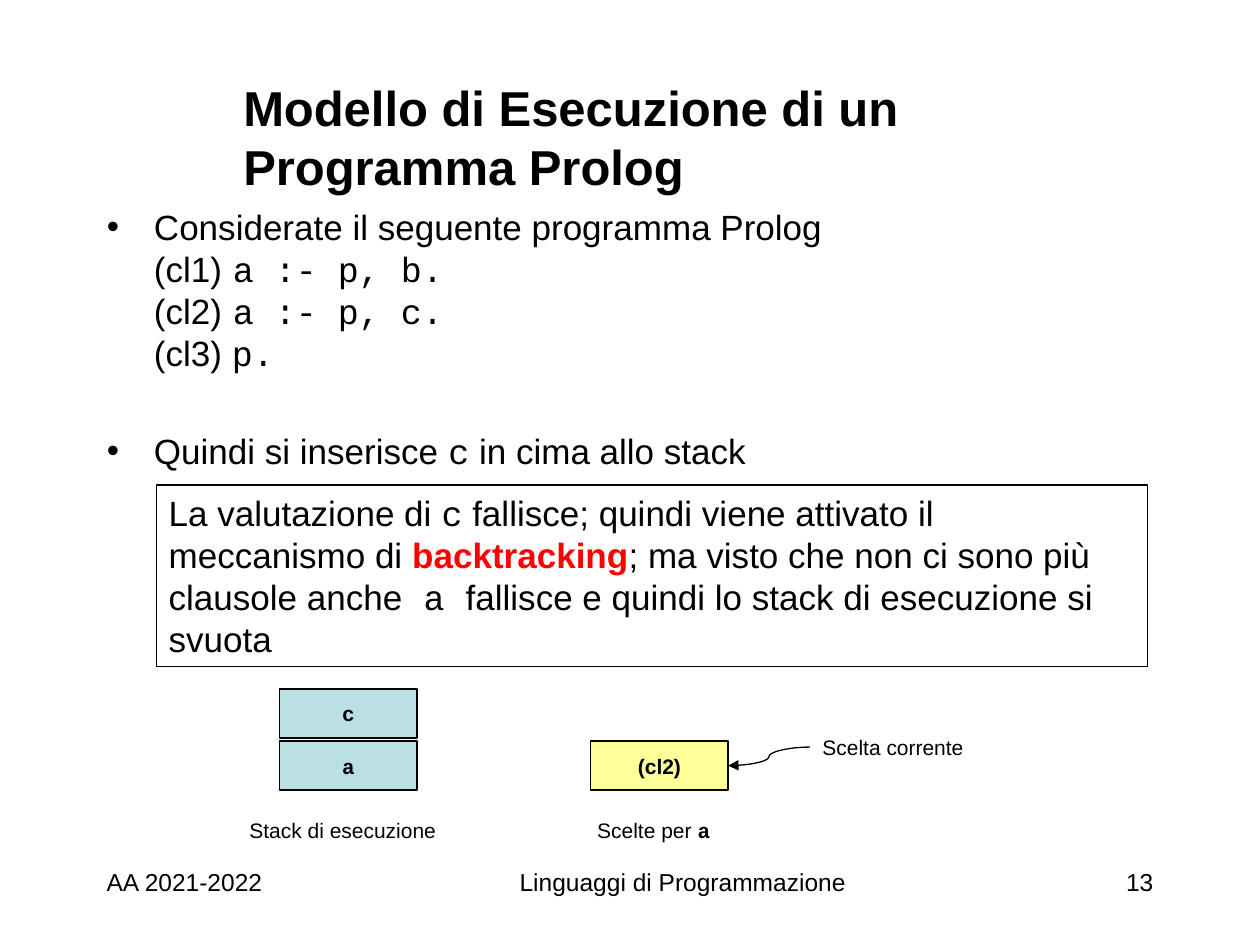
from lxml.etree import SubElement
from pptx import Presentation
from pptx.dml.color import RGBColor
from pptx.enum.shapes import MSO_CONNECTOR, MSO_SHAPE
from pptx.enum.text import MSO_ANCHOR, MSO_AUTO_SIZE, PP_ALIGN
from pptx.oxml.ns import qn
from pptx.util import Cm, Pt

BLACK = RGBColor(0x00, 0x00, 0x00)
RED = RGBColor(0xFF, 0x00, 0x00)
TEAL = RGBColor(0xBB, 0xE0, 0xE3)
YELLOW = RGBColor(0xFF, 0xFF, 0x99)
SANS = "Arial"
CODE = "Courier New"


class Slide:
    """Holds the style and the current page, and adds each kind of element."""

    def __init__(self, deck):
        self.page = deck.slides.add_slide(deck.slide_layouts[1])
        self.shapes = self.page.shapes

    def add_spans(self, para, spans, size, bold=False, align=PP_ALIGN.LEFT):
        """Fill a paragraph with (text, font, bold, colour) spans."""
        para.alignment = align
        for text, *style in spans:
            font, strong, colour = style + [SANS, bold, BLACK][len(style):]
            for number, line in enumerate(text.split("\n")):
                if number:
                    para.add_line_break()
                if line:
                    span = para.add_run()
                    span.text = line
                    span.font.name = font
                    span.font.size = Pt(size)
                    span.font.bold = strong
                    span.font.color.rgb = colour

    def place(self, box, left, top, width, height):
        """Move and size a placeholder."""
        box.left, box.top = Cm(left), Cm(top)
        box.width, box.height = Cm(width), Cm(height)
        box.text_frame.auto_size = MSO_AUTO_SIZE.NONE

    def title(self, text, *area):
        """Format the title placeholder."""
        box = self.shapes.title
        self.place(box, *area)
        box.text_frame.vertical_anchor = MSO_ANCHOR.MIDDLE
        self.add_spans(box.text_frame.paragraphs[0], [(text,)], 28, True)

    def bullets(self, items, *area):
        """Format the body placeholder from (space before, spans) items."""
        box = self.page.placeholders[1]
        self.place(box, *area)
        frame = box.text_frame
        for number, (space, spans) in enumerate(items):
            para = frame.add_paragraph() if number else frame.paragraphs[0]
            self.add_spans(para, spans, 20)
            para.space_before = Pt(space)
            properties = para._p.get_or_add_pPr()
            properties.set("marL", str(Cm(0.95)))
            properties.set("indent", str(Cm(-0.95)))
            properties.set("defTabSz", str(Cm(2.54)))

    def label(self, spans, left, top, width, height, size=12, align=PP_ALIGN.LEFT):
        """Add a plain text box."""
        box = self.shapes.add_textbox(Cm(left), Cm(top), Cm(width), Cm(height))
        box.text_frame.word_wrap = True
        self.add_spans(box.text_frame.paragraphs[0], spans, size, align=align)
        return box

    def frame(self, spans, left, top, width, height, fill=None, size=12):
        """Add an outlined rectangle: a filled cell or an open message."""
        box = self.shapes.add_shape(
            MSO_SHAPE.RECTANGLE, Cm(left), Cm(top), Cm(width), Cm(height))
        box.shadow.inherit = False
        box.line.color.rgb = BLACK
        box.line.width = Pt(0.75)
        box.text_frame.word_wrap = fill is None
        if fill is None:
            box.fill.background()
            box.text_frame.vertical_anchor = MSO_ANCHOR.TOP
            align = PP_ALIGN.LEFT
        else:
            box.fill.solid()
            box.fill.fore_color.rgb = fill
            box.text_frame.vertical_anchor = MSO_ANCHOR.MIDDLE
            align = PP_ALIGN.CENTER
        self.add_spans(
            box.text_frame.paragraphs[0], spans, size, fill is not None, align)
        return box

    def arrow(self, source, target):
        """Join the left side of source to the right side of target."""
        link = self.shapes.add_connector(MSO_CONNECTOR.CURVE, 0, 0, 0, 0)
        link.begin_connect(source, 1)
        link.end_connect(target, 3)
        link.line.color.rgb = BLACK
        link.line.width = Pt(0.75)
        properties = link._element.spPr
        SubElement(properties.find(qn("a:ln")), qn("a:tailEnd"), type="triangle")
        SubElement(properties, qn("a:effectLst"))


deck = Presentation()
deck.slide_width, deck.slide_height = Cm(25.4), Cm(19.05)
slide = Slide(deck)

slide.title("Modello di Esecuzione di un Programma Prolog", 4.65, 1.7, 18.85, 2.11)
slide.bullets([
    (0, [("Considerate il seguente programma Prolog\n(cl1)\t",),
         ("a :- p, b.\n", CODE), ("(cl2)\t",),
         ("a :- p, c.\n", CODE), ("(cl3) ",), ("p.", CODE)]),
    (32, [("Quindi si inserisce ",), ("c", CODE), (" in cima allo stack",)]),
], 1.9, 4.01, 21.59, 8.66)

slide.frame([
    ("La valutazione di ",), ("c", CODE),
    (" fallisce; quindi viene attivato il meccanismo di ",),
    ("backtracking", SANS, True, RED),
    ("; ma visto che non ci sono più clausole anche",), (" a ", CODE),
    ("fallisce e quindi lo stack di esecuzione si svuota",),
], 3.15, 9.78, 19.99, 3.66, size=20)

for row, goal in enumerate("ca"):
    slide.frame([(goal, CODE)], 5.64, 13.89 + 1.05 * row, 2.77, 0.99, TEAL)
choice = slide.frame([("(cl2)",)], 11.91, 14.94, 2.77, 0.99, YELLOW)

slide.label([("Stack di esecuzione",)], 4.78, 16.36, 4.55, 0.76)
slide.label([("Scelte per ",), ("a", CODE, True)], 11.79, 16.36, 3.02, 0.76)
current = slide.label([("Scelta corrente",)], 16.33, 14.68, 4.52, 0.76)
slide.arrow(current, choice)

for text, left, width, align in [
    ("AA 2021-2022", 1.9, 6.35, PP_ALIGN.LEFT),
    ("Linguaggi di Programmazione", 8.05, 11.43, PP_ALIGN.CENTER),
    ("13", 18.42, 5.08, PP_ALIGN.RIGHT),
]:
    slide.label([(text,)], left, 17.35, width, 1.27, 14, align)

deck.save("out.pptx")
